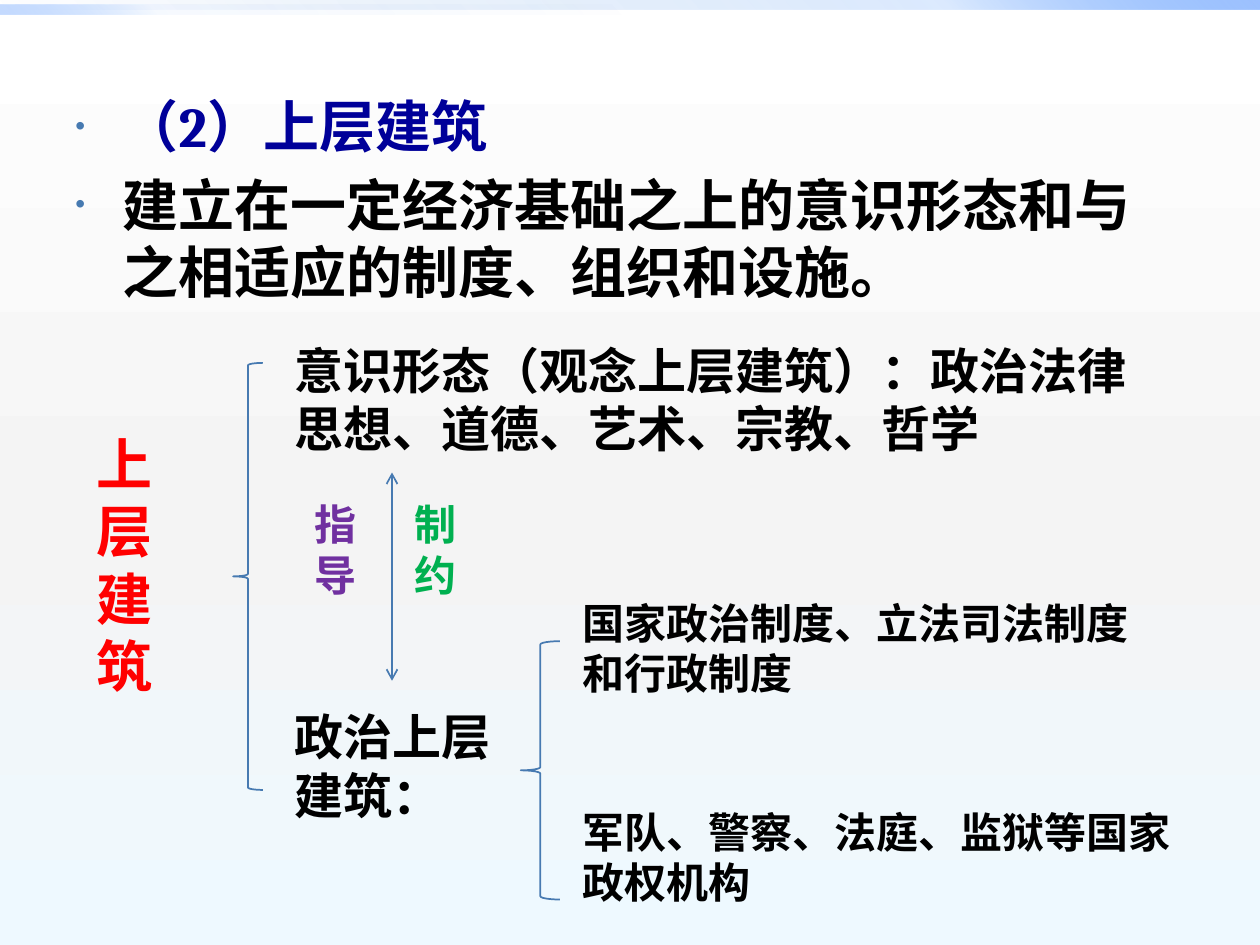
from lxml.etree import SubElement as Sub
from pptx import Presentation
from pptx.dml.color import RGBColor as Rgb
from pptx.enum.shapes import MSO_CONNECTOR as Conn, MSO_SHAPE as Kind
from pptx.enum.text import MSO_AUTO_SIZE as Auto
from pptx.oxml.ns import qn
from pptx.util import Pt

BLUE = "477AB1"
BLACK = "000000"
FONT = {"name": "Cambria", "bold": True}


def color(code):
    return Rgb.from_string(code)


def style(item, opts):
    for key, val in opts.items():
        setattr(item, key, val)


def tag(node, name, **attrs):
    return Sub(node, qn("a:" + name), attrs)


def blend(fill, stops, angle):
    fill.gradient()
    grad = fill._xPr.find(qn("a:gradFill"))
    for node in list(grad):
        grad.remove(node)
    row = tag(grad, "gsLst")
    for pos, code, alpha in stops:
        stop = tag(row, "gs", pos=str(pos * 1000))
        hue = tag(stop, "srgbClr", val=code)
        if alpha < 100:
            tag(hue, "alpha", val=str(alpha * 1000))
    tag(grad, "lin", ang=str(angle * 60000), scaled="0")


def shape(slide, kind, box):
    item = slide.shapes.add_shape(kind, *map(Pt, box))
    item.shadow.inherit = False
    return item


def band(slide, box, alphas, angle):
    bar = shape(slide, Kind.RECTANGLE, box)
    blend(bar.fill, zip((0, 75, 100), ("0058B7", "4F95FF", "9EC2FF"), alphas), angle)
    bar.line.fill.background()


def brace(slide, box):
    item = shape(slide, Kind.LEFT_BRACE, box)
    item.fill.background()
    item.line.color.rgb = color(BLUE)
    item.line.width = Pt(1)


def write(para, text, size, code):
    run = para.add_run()
    run.text = text
    style(run.font, {**FONT, "size": Pt(size)})
    run.font.color.rgb = color(code)


def frame(slide, box, fit):
    body = slide.shapes.add_textbox(*map(Pt, box)).text_frame
    style(body, {"word_wrap": True, "auto_size": fit})
    return body


def label(slide, box, text, size, code=BLACK):
    body = frame(slide, box, Auto.SHAPE_TO_FIT_TEXT)
    write(body.paragraphs[0], text, size, code)


def points(slide, box, items):
    body = frame(slide, box, Auto.NONE)
    for num, (text, code) in enumerate(items):
        para = body.add_paragraph() if num else body.paragraphs[0]
        para.space_before = Pt(6.4)
        props = para._p.get_or_add_pPr()
        style_indent = {"marL": Pt(27), "indent": Pt(-27)}
        for key, val in style_indent.items():
            props.set(key, str(val))
        tag(tag(props, "buClr"), "srgbClr", val=BLUE)
        tag(props, "buSzPct", val="50000")
        tag(props, "buFont", typeface="Arial")
        tag(props, "buChar", char="•")
        write(para, text, 32, code)


def arrow(slide, ends):
    link = slide.shapes.add_connector(Conn.STRAIGHT, *map(Pt, ends))
    link.line.color.rgb = color(BLUE)
    link.line.width = Pt(1)
    for name in ("headEnd", "tailEnd"):
        tag(link.line._get_or_add_ln(), name, type="arrow")
    tag(link._element.spPr, "effectLst")


def main():
    deck = Presentation()
    style(deck, {"slide_width": Pt(720), "slide_height": Pt(540)})
    slide = deck.slides.add_slide(deck.slide_layouts[6])
    blend(slide.background.fill,
          [(0, "FFFFFF", 100), (55, "F4F4F4", 100), (100, "EEF9FF", 100)], 90)
    band(slide, (0, 0, 720, 5.6), (0, 20, 100), 315)
    band(slide, (0, 2.8, 360, 5.6), (0, 5, 60), 135)

    points(slide, (36, 49, 648, 147.6), [
        ("（2）上层建筑", "000099"),
        ("建立在一定经济基础之上的意识形态和与之相适应的制度、组织和设施。", BLACK),
    ])

    label(slide, (48.2, 242, 57, 163), "上层建筑", 32, "FF0000")
    brace(slide, (133.2, 207.4, 17, 244))
    label(slide, (161.4, 190.8, 499, 75), "意识形态（观念上层建筑）：政治法律思想、道德、艺术、宗教、哲学", 28)
    label(slide, (161.4, 400.4, 153.4, 75), "政治上层建筑：", 28)

    brace(slide, (297.6, 366.4, 22.4, 147.6))
    label(slide, (326, 337.6, 335, 65.4), "国家政治制度、立法司法制度和行政制度", 24)
    label(slide, (326, 457.2, 357, 65.4), "军队、警察、法庭、监狱等国家政权机构", 24)

    arrow(slide, (224, 270, 224, 389))
    label(slide, (172.8, 281.4, 34, 65.4), "指导", 24, "7030A0")
    label(slide, (229.8, 281.4, 39.6, 65.4), "制约", 24, "00B050")
    deck.save("out.pptx")


if __name__ == "__main__":
    main()
